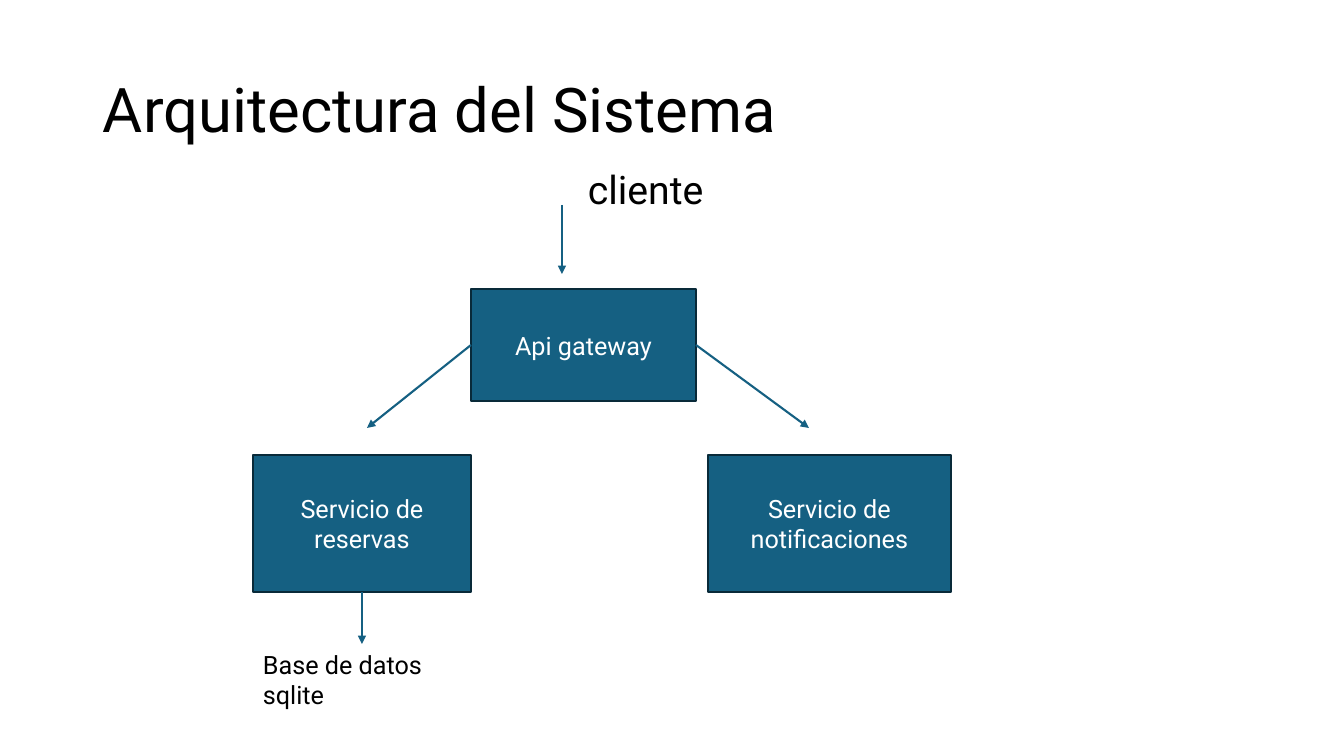
from pptx import Presentation
from pptx.dml.color import RGBColor
from pptx.enum.shapes import MSO_CONNECTOR, MSO_SHAPE
from pptx.enum.text import MSO_ANCHOR, PP_ALIGN
from pptx.oxml.ns import qn
from pptx.util import Emu, Pt
from lxml.etree import SubElement


def px(n):
    return Emu(round(n * 914400 / 100.8))


def rgb(code):
    return RGBColor.from_string(code)


BLUE, NAVY, BLACK, WHITE = "156082", "092A39", "000000", "FFFFFF"

deck = Presentation()
deck.slide_width, deck.slide_height = px(1344), px(756)
slide = deck.slides.add_slide(deck.slide_layouts[6])
shapes = slide.shapes

# Title and plain labels: text, place, size, line spacing, anchor
labels = [
    ("Arquitectura del Sistema", (93, 40, 1159, 146), 44, 0.9, MSO_ANCHOR.MIDDLE),
    ("cliente", (578, 166, 160, 52), 28, 0.9, MSO_ANCHOR.TOP),
    ("Base de datos sqlite", (253, 644, 181, 72), 18, 1.0, MSO_ANCHOR.TOP),
]
for text, place, size, gap, anchor in labels:
    frame = shapes.add_textbox(*map(px, place)).text_frame
    frame.word_wrap = True
    frame.vertical_anchor = anchor
    line = frame.paragraphs[0]
    line.text = text
    line.line_spacing = gap
    line.font.name, line.font.size = "Roboto", Pt(size)
    line.font.color.rgb = rgb(BLACK)

# Service boxes
boxes = {}
for text, place in [
    ("Api gateway", (471, 289, 225, 112)),
    ("Servicio de reservas", (253, 455, 218, 137)),
    ("Servicio de notificaciones", (708, 455, 243, 137)),
]:
    box = shapes.add_shape(MSO_SHAPE.RECTANGLE, *map(px, place))
    box.shadow.inherit = False
    box.fill.solid()
    box.fill.fore_color.rgb = rgb(BLUE)
    box.line.color.rgb = rgb(NAVY)
    box.line.width = Pt(1.5)
    frame = box.text_frame
    frame.word_wrap = True
    frame.vertical_anchor = MSO_ANCHOR.MIDDLE
    line = frame.paragraphs[0]
    line.text = text
    line.alignment = PP_ALIGN.CENTER
    line.font.name, line.font.size = "Roboto", Pt(18)
    line.font.color.rgb = rgb(WHITE)
    boxes[text] = box

# Arrows: start, end, box at the start, side of that box
arrows = [
    ((696, 345), (809, 428), "Api gateway", 3),
    ((471, 345), (367, 428), "Api gateway", 1),
    ((362, 592), (362, 644), "Servicio de reservas", 2),
    ((562, 205), (562, 274), None, None),
]
for start, end, name, side in arrows:
    arrow = shapes.add_connector(MSO_CONNECTOR.STRAIGHT, *map(px, start + end))
    if name:
        arrow.begin_connect(boxes[name], side)
    arrow.line.color.rgb = rgb(BLUE)
    arrow.line.width = Pt(1.5)
    SubElement(arrow.line._get_or_add_ln(), qn("a:tailEnd"), type="triangle")
    SubElement(arrow._element.spPr, qn("a:effectLst"))

deck.save("out.pptx")
